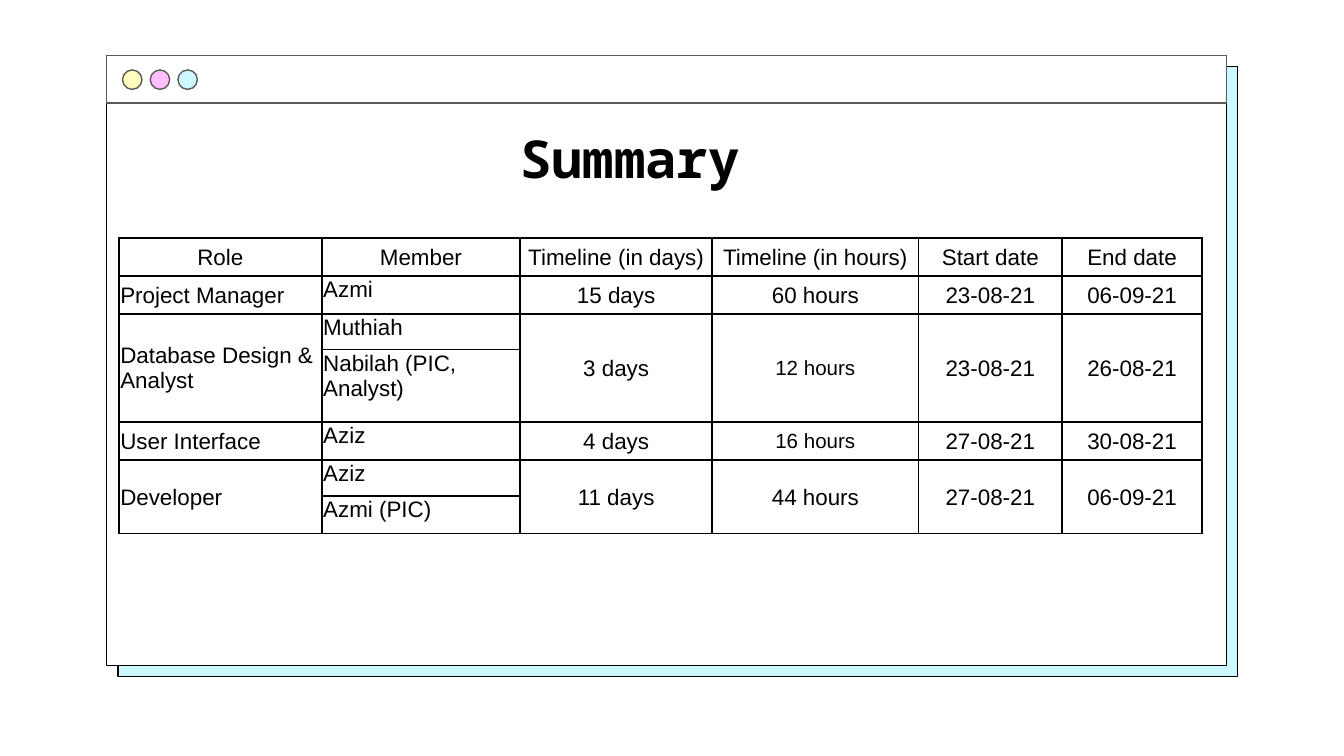
from dataclasses import dataclass
from lxml import etree
from pptx import Presentation
from pptx.dml.color import RGBColor as RGB
from pptx.enum.shapes import MSO_SHAPE as SHAPE
from pptx.enum.text import MSO_ANCHOR as ANCHOR, PP_ALIGN as ALIGN
from pptx.oxml.ns import qn
from pptx.util import Inches, Pt


@dataclass(frozen=True)
class Theme:
    ink: str = "000000"
    grey: str = "595959"
    paper: str = "FFFFFF"
    cyan: str = "CCF8FF"
    yellow: str = "FFFCBE"
    pink: str = "FFBFFD"
    title_font: str = "Noto Sans Mono"
    body_font: str = "Arial"
    title: int = 28
    body: int = 12
    small: int = 11


T = Theme()
prs = Presentation()
prs.slide_width = Inches(10)
prs.slide_height = prs.slide_width * 9 // 16
X, Y = prs.slide_width / 100, prs.slide_height / 100  # one percent of the slide
s = prs.slides.add_slide(prs.slide_layouts[6])


def write(tf, text, size=T.body, font=T.body_font, bold=False, align=ALIGN.LEFT):
    p = tf.paragraphs[0]
    p.alignment = align
    r = p.add_run()
    r.text = text
    r.font.size, r.font.name, r.font.bold = Pt(size), font, bold
    r.font.color.rgb = RGB.from_string(T.ink)


def draw(kind, x, y, w, h, fill, line):
    sp = s.shapes.add_shape(kind, int(x), int(y), int(w), int(h))
    sp.shadow.inherit = False
    sp.fill.solid()
    sp.fill.fore_color.rgb = RGB.from_string(fill)
    sp.line.color.rgb = RGB.from_string(line)
    sp.line.width = Pt(0.75)


# Window with its offset backdrop and title bar
left, top, width, height = 7.94 * X, 7.35 * Y, 83.33 * X, 80.7 * Y
shift = 0.83 * X
draw(SHAPE.RECTANGLE, left + shift, top + shift, width, height, T.cyan, T.ink)
draw(SHAPE.RECTANGLE, left, top, width, height, T.paper, T.ink)
draw(SHAPE.RECTANGLE, left, top, width, 6.27 * Y, T.paper, T.grey)

# Window buttons
dot = 1.45 * X
for i, color in enumerate((T.yellow, T.pink, T.cyan)):
    draw(SHAPE.OVAL, (9.12 + 2.06 * i) * X, 9.25 * Y, dot, dot, color, T.grey)

# Title
tb = s.shapes.add_textbox(int(35.5 * X), int(14.7 * Y), int(22.75 * X), int(12.4 * Y))
tf = tb.text_frame
tf.word_wrap = True
tf.vertical_anchor = ANCHOR.MIDDLE
tf.margin_left = tf.margin_right = tf.margin_top = tf.margin_bottom = Inches(0.1)
write(tf, "Summary", size=T.title, font=T.title_font, bold=True, align=ALIGN.CENTER)

# Table: an empty role continues the row above
rows = [
    ("Role", "Member", "Timeline (in days)", "Timeline (in hours)", "Start date", "End date"),
    ("Project Manager", "Azmi", "15 days", "60 hours", "23-08-21", "06-09-21"),
    ("Database Design & Analyst", "Muthiah", "3 days", "12 hours", "23-08-21", "26-08-21"),
    ("", "Nabilah (PIC, Analyst)", "", "", "", ""),
    ("User Interface", "Aziz", "4 days", "16 hours", "27-08-21", "30-08-21"),
    ("Developer", "Aziz", "11 days", "44 hours", "27-08-21", "06-09-21"),
    ("", "Azmi (PIC)", "", "", "", ""),
]
col_shares = (15.1, 14.75, 14.3, 15.35, 10.7, 10.4)
row_shares = (5, 5, 4.75, 9.6, 5, 4.75, 5)
MEMBER = 1
small_cells = {"12 hours", "16 hours"}

table = s.shapes.add_table(len(rows), len(col_shares), int(8.85 * X), int(31.5 * Y),
                           int(sum(col_shares) * X), int(sum(row_shares) * Y)).table
table.first_row = table.horz_banding = False
for col, share in zip(table.columns, col_shares):
    col.width = int(share * X)
for row, share in zip(table.rows, row_shares):
    row.height = int(share * Y)

for i, values in enumerate(rows):
    for j, text in enumerate(values):
        c = table.cell(i, j)
        c.margin_left = c.margin_right = c.margin_top = Inches(0.01)
        c.margin_bottom = 0
        c.vertical_anchor = ANCHOR.TOP if i and j == MEMBER else ANCHOR.MIDDLE
        c.fill.background()
        write(c.text_frame, text, size=T.small if text in small_cells else T.body,
              align=ALIGN.LEFT if i and j <= MEMBER else ALIGN.CENTER)

        # Cell borders precede the fill
        tcPr = c._tc.get_or_add_tcPr()
        for k, side in enumerate(("a:lnL", "a:lnR", "a:lnT", "a:lnB")):
            ln = etree.Element(qn(side), w=str(Pt(1)))
            solid = etree.SubElement(ln, qn("a:solidFill"))
            etree.SubElement(solid, qn("a:srgbClr"), val=T.ink)
            tcPr.insert(k, ln)

for i, values in enumerate(rows):
    if not values[0]:
        for j in range(len(values)):
            if j != MEMBER:
                table.cell(i - 1, j).merge(table.cell(i, j))

prs.save("out.pptx")
